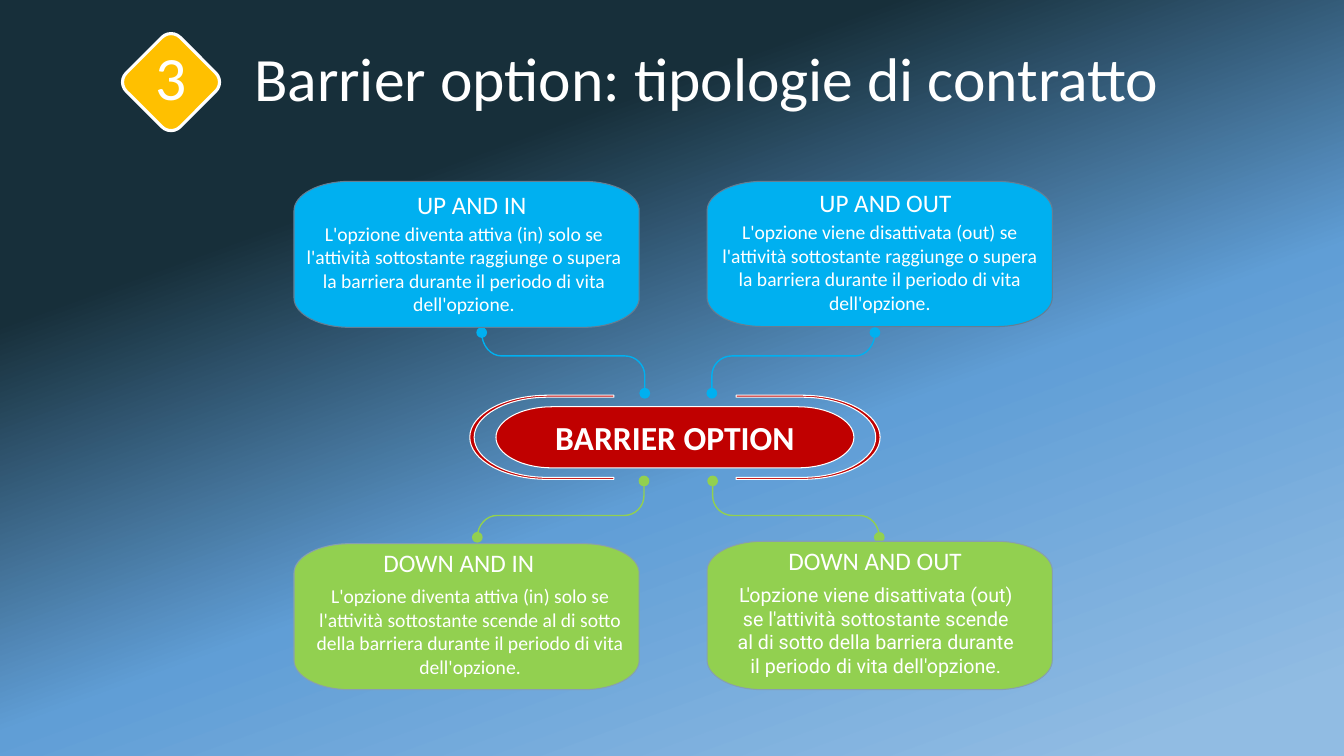
"""Build the slide on the four kinds of barrier option contract."""
import copy
import dataclasses
import math
import typing

import pptx
import pptx.dml.color
import pptx.enum.shapes
import pptx.enum.text
import pptx.oxml.ns
import pptx.util

Cm = pptx.util.Cm
qn = pptx.oxml.ns.qn
Point = tuple[float, float]
Align = pptx.enum.text.PP_ALIGN
Anchor = pptx.enum.text.MSO_ANCHOR


@dataclasses.dataclass(frozen=True)
class Theme:
    white: str = "FFFFFF"
    hub: str = "C00000"
    up: str = "00B0F0"
    up_edge: str = "657E93"
    down: str = "92D050"
    down_edge: str = "869FB2"
    badge: str = "FFC000"
    backdrop: tuple[tuple[float, str], ...] = ((0.06, "91BCE3"), (0.41, "609ED6"), (0.74, "172F3A"))
    font: str = "Calibri"
    alternate_font: str = "Roboto"
    title_size: float = 44
    hub_size: float = 24
    heading_size: float = 18
    body_size: float = 14
    thin: float = 0.75
    link: float = 1
    thick: float = 2.25


THEME = Theme()


class Box(typing.NamedTuple):
    left: float
    top: float
    width: float
    height: float

    def lengths(self) -> list[pptx.util.Length]:
        return [Cm(value) for value in self]


@dataclasses.dataclass(frozen=True)
class Contract:
    heading: str
    body: str
    color: str
    edge: str
    panel: Box
    heading_box: Box
    body_box: Box
    link_start: Point
    link_end: Point
    link_middle: float
    font: str = THEME.font


CONTRACTS = (
    Contract(
        "UP AND IN",
        "L'opzione diventa attiva (in) solo se l'attività sottostante raggiunge o supera "
        "la barriera durante il periodo di vita dell'opzione.",
        THEME.up, THEME.up_edge, Box(7.41, 4.57, 8.7, 3.68), Box(10.26, 4.65, 5.56, 1.02),
        Box(7.34, 5.45, 8.71, 2.64), (12.14, 8.38), (16.25, 9.91), 8.97),
    Contract(
        "UP AND OUT",
        "L'opzione viene disattivata (out) se l'attività sottostante raggiunge o supera "
        "la barriera durante il periodo di vita dell'opzione.",
        THEME.up, THEME.up_edge, Box(17.82, 4.57, 8.7, 3.66), Box(20.4, 4.6, 4.55, 1.02),
        Box(17.82, 5.42, 8.71, 2.64), (22.05, 8.38), (17.94, 9.91), 8.97),
    Contract(
        "DOWN AND IN",
        "L'opzione diventa attiva (in) solo se l'attività sottostante scende al di sotto "
        "della barriera durante il periodo di vita dell'opzione.",
        THEME.down, THEME.down_edge, Box(7.41, 13.7, 8.7, 3.68), Box(9.41, 13.67, 4.98, 1.02),
        Box(7.34, 14.59, 9.02, 2.64), (12.03, 13.54), (16.23, 12.12), 12.99),
    Contract(
        "DOWN AND OUT",
        "L'opzione viene disattivata (out) se l'attività sottostante scende al di sotto "
        "della barriera durante il periodo di vita dell'opzione.",
        THEME.down, THEME.down_edge, Box(17.82, 13.64, 8.7, 3.74), Box(19.62, 13.61, 6.07, 1.02),
        Box(18.33, 14.56, 7.49, 2.64), (22.16, 13.54), (17.96, 12.12), 12.99,
        THEME.alternate_font),
)


def rgb(color: str) -> pptx.dml.color.RGBColor:
    return pptx.dml.color.RGBColor.from_string(color)


def paint(shape, fill: str | None = None, line: str | None = None, width: float = THEME.thin) -> None:
    shape.shadow.inherit = False
    if fill:
        shape.fill.solid()
        shape.fill.fore_color.rgb = rgb(fill)
    else:
        shape.fill.background()
    if line:
        shape.line.color.rgb = rgb(line)
        shape.line.width = pptx.util.Pt(width)
    else:
        shape.line.fill.background()


def write(shape, text: str, *, size: float, font: str = THEME.font, bold: bool = False,
          align: Align = Align.CENTER, anchor: Anchor = Anchor.TOP,
          spacing: float = 1.0, inset: float = 0.13) -> None:
    frame = shape.text_frame
    frame.word_wrap = True
    frame.auto_size = pptx.enum.text.MSO_AUTO_SIZE.NONE
    frame.vertical_anchor = anchor
    frame.margin_left = frame.margin_right = Cm(0.25)
    frame.margin_top = frame.margin_bottom = Cm(inset)
    para = frame.paragraphs[0]
    para.alignment = align
    para.line_spacing = spacing
    span = para.add_run()
    span.text = text
    span.font.name = font
    span.font.size = pptx.util.Pt(size)
    span.font.bold = bold
    span.font.color.rgb = rgb(THEME.white)


def quarter(center: Point, radius_x: float, radius_y: float, start: int, turn: int = 1) -> list[Point]:
    angle, pull = math.radians(start), 0.55
    cosine, sine = math.cos(angle), math.sin(angle)
    ahead_x, ahead_y = -turn * sine, turn * cosine
    units = ((cosine, sine), (cosine + pull * ahead_x, sine + pull * ahead_y),
             (ahead_x + pull * cosine, ahead_y + pull * sine), (ahead_x, ahead_y))
    return [(round(center[0] + radius_x * x, 3), round(center[1] + radius_y * y, 3)) for x, y in units]


def draw_outline(slide, pieces: list[list[Point]], closed: bool = True):
    points, curve_starts = [], []
    for piece in pieces:
        points += piece[1:] if points and points[-1] == piece[0] else piece
        if len(piece) == 4:
            curve_starts.append(len(points) - 4)
    corners = [(Cm(x), Cm(y)) for x, y in points]
    builder = slide.shapes.build_freeform(*corners[0])
    builder.add_line_segments(corners[1:], close=closed)
    shape = builder.convert_to_shape()
    outline = shape.element.find(".//" + qn("a:path"))
    lines = outline.findall(qn("a:lnTo"))
    for start in curve_starts:
        curve, *others = lines[start:start + 3]
        curve.tag = qn("a:cubicBezTo")
        for other in others:
            curve.append(other[0])
            outline.remove(other)
    return shape


def draw_rounded(slide, box: Box, radius_x: float, radius_y: float):
    left, right = box.left + radius_x, box.left + box.width - radius_x
    top, bottom = box.top + radius_y, box.top + box.height - radius_y
    centers = ((left, top), (right, top), (right, bottom), (left, bottom))
    return draw_outline(slide, [quarter(center, radius_x, radius_y, 180 + 90 * turn)
                                for turn, center in enumerate(centers)])


def draw_bracket(slide, side: int) -> None:
    axis, middle, outer, inner = 17.01, 11.02, 1.06, 1.01
    tip, center = axis + side * 1.54, (axis + side * 3.21, middle)
    pieces = [[(tip, middle - outer)],
              *(quarter(center, side * 1.96, outer, start) for start in (-90, 0)),
              [(tip, middle + outer)], [(tip, middle + inner)],
              *(quarter(center, side * 1.85, inner, start, -1) for start in (90, 0)),
              [(tip, middle - inner)]]
    paint(draw_outline(slide, pieces), THEME.hub, THEME.white)


def draw_link(slide, contract: Contract) -> None:
    (start_x, start_y), (end_x, end_y) = contract.link_start, contract.link_end
    middle, diameter = contract.link_middle, 0.27
    radius_x = math.copysign(0.5, end_x - start_x)
    radius_y = math.copysign(0.5, end_y - start_y)
    pieces = [quarter((start_x + radius_x, start_y), radius_x, middle - start_y, 180, -1),
              quarter((end_x - radius_x, middle + radius_y), radius_x, radius_y, 270),
              [contract.link_end]]
    paint(draw_outline(slide, pieces, closed=False), line=contract.color, width=THEME.link)
    for x, y in (contract.link_start, contract.link_end):
        box = Box(x - diameter / 2, y - diameter / 2, diameter, diameter)
        paint(slide.shapes.add_shape(pptx.enum.shapes.MSO_SHAPE.OVAL, *box.lengths()), contract.color)


def draw_contract(slide, contract: Contract) -> None:
    draw_link(slide, contract)
    paint(draw_rounded(slide, contract.panel, 1.4, 0.74), contract.color, contract.edge)
    write(slide.shapes.add_textbox(*contract.heading_box.lengths()), contract.heading,
          size=THEME.heading_size, align=Align.LEFT)
    write(slide.shapes.add_textbox(*contract.body_box.lengths()), contract.body,
          size=THEME.body_size, font=contract.font)


def draw_backdrop(slide) -> None:
    fill = slide.background.fill
    fill.gradient()
    fill.gradient_angle = 110
    stop_list = slide.element.find(".//" + qn("a:gsLst"))
    stop_list.append(copy.deepcopy(stop_list[0]))
    for stop, (position, color) in zip(fill.gradient_stops, THEME.backdrop):
        stop.position = position
        stop.color.rgb = rgb(color)


def draw_title(slide) -> None:
    title = slide.shapes.title
    title.left, title.top, title.width, title.height = Box(3.53, 0.99, 28.57, 2.13).lengths()
    large = {"size": THEME.title_size, "anchor": Anchor.MIDDLE, "spacing": 0.9, "inset": 0.25}
    write(title, "Barrier option: tipologie di contratto", **large)
    badge = slide.shapes.add_shape(
        pptx.enum.shapes.MSO_SHAPE.ROUNDED_RECTANGLE, *Box(3.35, 1.11, 1.92, 1.92).lengths())
    badge.adjustments[0] = 0.17
    badge.rotation = 45
    paint(badge, THEME.badge, THEME.white, THEME.thick)
    write(slide.shapes.add_textbox(*Box(3.07, 0.95, 2.49, 2.18).lengths()), "3", **large)


def main() -> None:
    deck = pptx.Presentation()
    deck.slide_width, deck.slide_height = Cm(33.87), Cm(19.05)
    page = deck.slides.add_slide(deck.slide_layouts[5])
    draw_backdrop(page)
    draw_title(page)
    hub = draw_rounded(page, Box(12.5, 10.25, 9.02, 1.54), 1.41, 0.77)
    paint(hub, THEME.hub, THEME.white)
    write(hub, "BARRIER OPTION", size=THEME.hub_size, bold=True, anchor=Anchor.MIDDLE, inset=0.25)
    for side in (1, -1):
        draw_bracket(page, side)
    for contract in CONTRACTS:
        draw_contract(page, contract)
    deck.save("out.pptx")


if __name__ == "__main__":
    main()
